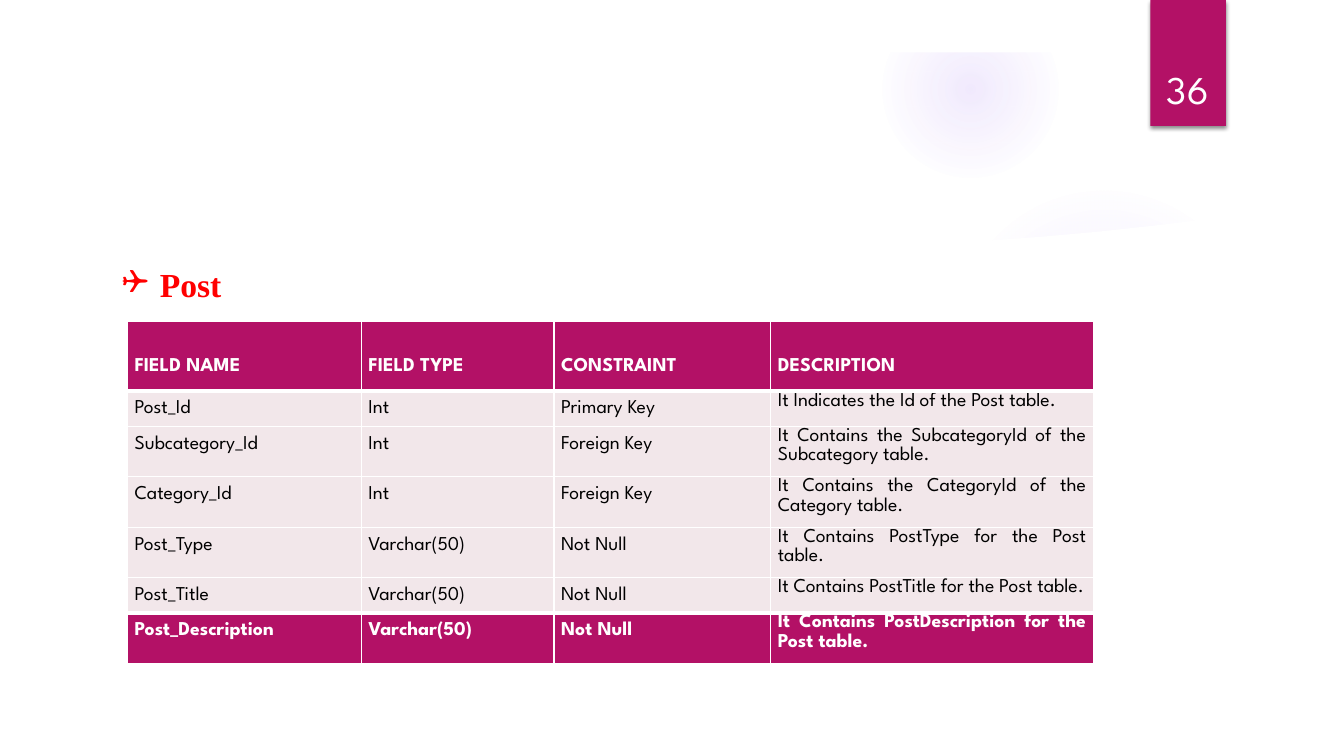
from dataclasses import dataclass

from lxml import etree
from pptx import Presentation
from pptx.dml.color import RGBColor
from pptx.enum.shapes import MSO_SHAPE
from pptx.enum.text import MSO_ANCHOR, MSO_AUTO_SIZE, PP_ALIGN
from pptx.oxml import parse_xml
from pptx.oxml.ns import nsdecls
from pptx.util import Inches, Pt

HEADING = "Post"
PAGE_NUMBER = "36"
FIELDS = [
    ("FIELD NAME", "FIELD TYPE", "CONSTRAINT", "DESCRIPTION"),
    ("Post_Id", "Int", "Primary Key", "It Indicates the Id of the Post table."),
    ("Subcategory_Id", "Int", "Foreign Key",
     "It Contains the SubcategoryId of the Subcategory table."),
    ("Category_Id", "Int", "Foreign Key",
     "It Contains the CategoryId of the Category table."),
    ("Post_Type", "Varchar(50)", "Not Null", "It Contains PostType for the Post table."),
    ("Post_Title", "Varchar(50)", "Not Null", "It Contains PostTitle for the Post table."),
    ("Post_Description", "Varchar(50)", "Not Null",
     "It Contains PostDescription for the Post table."),
]
COLUMN_WIDTHS = [2.32, 1.91, 2.15, 3.2]
ROW_HEIGHTS = [0.69, 0.35, 0.5, 0.5, 0.5, 0.35, 0.5]

# left, top, diameter, (position %, opacity %) of each gradient stop
GLOWS = [
    (9.41, 1.83, 3.08, [(0, 7), (36, 6), (69, 0)]),
    (8.75, 0.01, 1.75, [(0, 14), (36, 7), (73, 0)]),
]
PANEL_OUTLINE = [
    (0.5, 7), (0.5, 2.04), (1.59, 2.18), (2.83, 2.3), (4.01, 2.38), (5.35, 2.45),
    (6.82, 2.48), (8.13, 2.46), (9.21, 2.42), (9.76, 2.39), (10.32, 2.35),
    (10.88, 2.3), (11.44, 2.24), (12, 2.17), (12.56, 2.09), (12.84, 2.04), (12.84, 7)]


@dataclass(frozen=True)
class Theme:
    accent: str = "B31166"
    band: str = "F2E7EA"
    white: str = "FFFFFF"
    black: str = "000000"
    heading: str = "FF0000"
    glow: str = "9B6BF2"
    body_font: str = "League Spartan"
    heading_font: str = "Times New Roman"
    bullet_font: str = "Wingdings"
    body_size: int = 14
    heading_size: int = 24
    number_size: int = 28


THEME = Theme()


def style(paragraph, font_name, size, color, bold=False):
    for run in paragraph.runs:
        run.font.name = font_name
        run.font.size = Pt(size)
        run.font.bold = bold
        run.font.color.rgb = RGBColor.from_string(color)


def paint(shape, color):
    shape.shadow.inherit = False
    shape.fill.solid()
    shape.fill.fore_color.rgb = RGBColor.from_string(color)
    shape.line.fill.background()


def add_block(slide, kind, left, top, width, height, color):
    block = slide.shapes.add_shape(
        kind, Inches(left), Inches(top), Inches(width), Inches(height))
    paint(block, color)
    return block


def add_glow(slide, left, top, diameter, stops):
    """Add a circle that fades out from its centre."""
    glow = add_block(slide, MSO_SHAPE.OVAL, left, top, diameter, diameter, THEME.glow)
    stop_xml = "".join(
        f'<a:gs pos="{position * 1000}"><a:srgbClr val="{THEME.glow}">'
        f'<a:alpha val="{opacity * 1000}"/></a:srgbClr></a:gs>'
        for position, opacity in stops)
    gradient = parse_xml(
        f'<a:gradFill {nsdecls("a")} rotWithShape="1"><a:gsLst>{stop_xml}</a:gsLst>'
        '<a:path path="circle"><a:fillToRect l="50000" t="50000" r="50000" b="50000"/>'
        '</a:path></a:gradFill>')
    properties = glow.element.spPr
    properties.replace(properties.find("{*}solidFill"), gradient)


def add_backdrop(slide):
    for glow in GLOWS:
        add_glow(slide, *glow)
    start, *rest = [(Inches(x), Inches(y)) for x, y in PANEL_OUTLINE]
    builder = slide.shapes.build_freeform(*start)
    builder.add_line_segments(rest)
    paint(builder.convert_to_shape(), THEME.white)
    border = add_block(slide, MSO_SHAPE.FRAME, 0, 0, 13.33, 7.5, THEME.white)
    border.adjustments[0] = 0.52 / 7.5


def add_ribbon(slide):
    ribbon = add_block(slide, MSO_SHAPE.RECTANGLE, 11.41, 0, 0.75, 1.25, THEME.accent)
    effects = ribbon.element.spPr.find("{*}effectLst")
    effects.append(parse_xml(
        f'<a:outerShdw {nsdecls("a")} blurRad="{Pt(3)}" dist="{Pt(2)}" dir="5400000">'
        f'<a:srgbClr val="{THEME.black}"><a:alpha val="45000"/></a:srgbClr></a:outerShdw>'))
    number_box = slide.shapes.add_textbox(
        Inches(11.32), Inches(0.32), Inches(0.92), Inches(0.84))
    frame = number_box.text_frame
    frame.word_wrap = True
    frame.vertical_anchor = MSO_ANCHOR.BOTTOM
    frame.text = PAGE_NUMBER
    number = frame.paragraphs[0]
    number.alignment = PP_ALIGN.CENTER
    style(number, THEME.body_font, THEME.number_size, THEME.white)


def set_heading(slide):
    title = slide.shapes.title
    title.left, title.top = Inches(1.11), Inches(2.57)
    title.width, title.height = Inches(1.29), Inches(0.5)
    frame = title.text_frame
    frame.text = HEADING
    frame.word_wrap = False
    frame.auto_size = MSO_AUTO_SIZE.NONE
    frame.vertical_anchor = MSO_ANCHOR.TOP
    heading = frame.paragraphs[0]
    heading.alignment = PP_ALIGN.LEFT
    properties = heading._p.get_or_add_pPr()
    properties.set("marL", str(Inches(0.375)))
    properties.set("indent", str(-Inches(0.375)))
    properties.append(parse_xml(
        f'<a:buFont {nsdecls("a")} typeface="{THEME.bullet_font}" charset="2"/>'))
    properties.append(parse_xml(f'<a:buChar {nsdecls("a")} char="❑"/>'))
    style(heading, THEME.heading_font, THEME.heading_size, THEME.heading, bold=True)


def set_borders(cell, top, bottom):
    properties = cell._tc.get_or_add_tcPr()
    sides = [("lnL", 1), ("lnR", 1), ("lnT", top), ("lnB", bottom)]
    for index, (side, width) in enumerate(sides):
        border = etree.fromstring(
            f'<a:{side} {nsdecls("a")} w="{Pt(width)}"><a:solidFill>'
            f'<a:srgbClr val="{THEME.white}"/></a:solidFill></a:{side}>')
        properties.insert(index, border)


def add_field_table(slide):
    table = slide.shapes.add_table(
        len(FIELDS), len(COLUMN_WIDTHS), Inches(1.265), Inches(3.19),
        Inches(sum(COLUMN_WIDTHS)), Inches(sum(ROW_HEIGHTS))).table
    table.horz_banding = False
    for column, width in zip(table.columns, COLUMN_WIDTHS):
        column.width = Inches(width)
    for row, height in zip(table.rows, ROW_HEIGHTS):
        row.height = Inches(height)

    header, last = 0, len(FIELDS) - 1
    for r, record in enumerate(FIELDS):
        strong = r in (header, last)
        for c, value in enumerate(record):
            cell = table.cell(r, c)
            cell.margin_left = cell.margin_right = Inches(0.07)
            cell.margin_top = Inches(0.27 if r == header else 0)
            cell.margin_bottom = 0
            cell.fill.solid()
            cell.fill.fore_color.rgb = RGBColor.from_string(
                THEME.accent if strong else THEME.band)
            set_borders(cell, top=3 if r in (header + 1, last) else 1,
                        bottom=3 if r in (header, last - 1) else 1)
            cell.text_frame.text = value
            entry = cell.text_frame.paragraphs[0]
            entry.alignment = PP_ALIGN.JUSTIFY
            is_description = c == len(record) - 1 and r != header
            entry.line_spacing = 1.07 if is_description else 1.5
            if is_description:
                entry.space_after = Pt(8)
            style(entry, THEME.body_font, THEME.body_size,
                  THEME.white if strong else THEME.black, bold=strong)


def main():
    deck = Presentation()
    deck.slide_width, deck.slide_height = Inches(13.33), Inches(7.5)
    slide = deck.slides.add_slide(deck.slide_layouts[5])
    add_backdrop(slide)
    add_ribbon(slide)
    set_heading(slide)
    add_field_table(slide)
    # The heading sits in front of the backdrop.
    tree = slide.shapes.title.element.getparent()
    tree.append(slide.shapes.title.element)
    deck.save("out.pptx")


if __name__ == "__main__":
    main()
